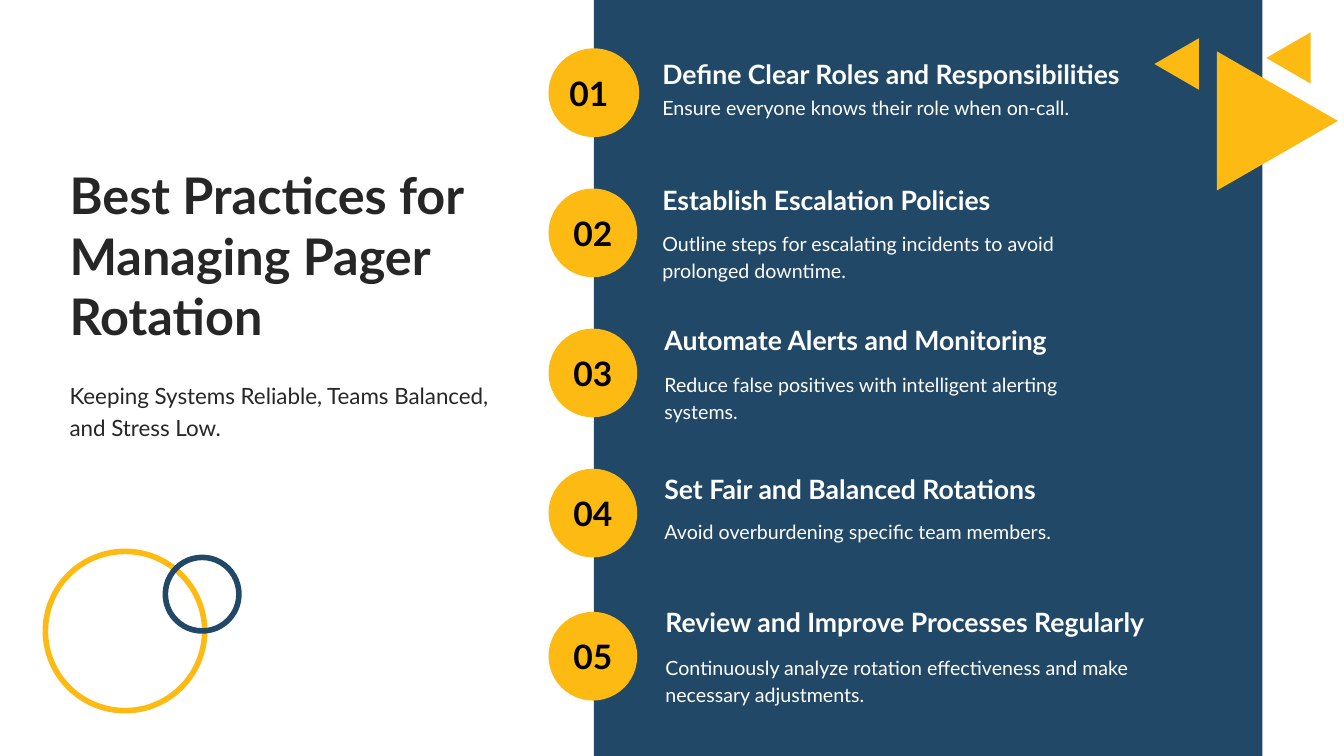
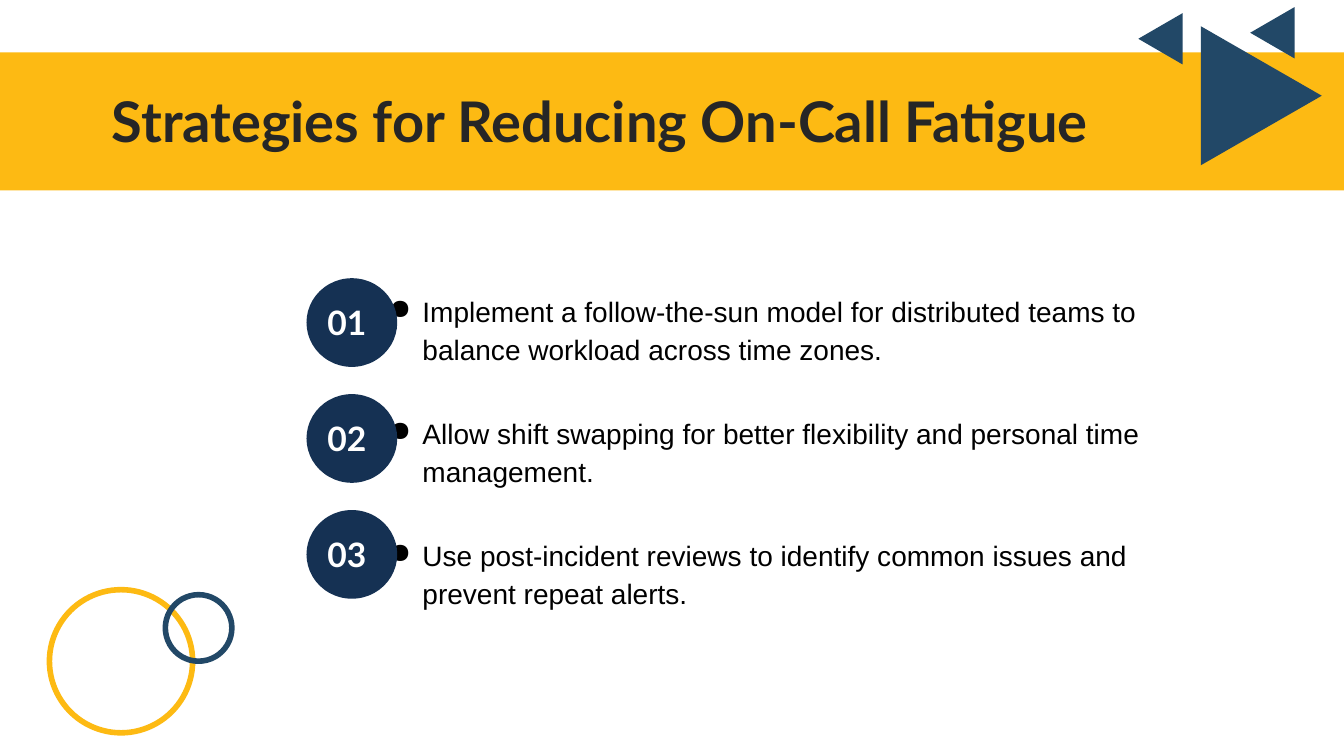
from dataclasses import dataclass

from lxml import etree
from pptx import Presentation
from pptx.dml.color import RGBColor
from pptx.enum.shapes import MSO_SHAPE
from pptx.enum.text import MSO_ANCHOR, PP_ALIGN
from pptx.oxml.ns import qn
from pptx.util import Inches, Pt


@dataclass(frozen=True)
class Theme:
    # Colours
    yellow: str = "FDBA13"
    blue: str = "224867"
    navy: str = "153153"
    ink: str = "262626"
    black: str = "000000"
    white: str = "FFFFFF"
    # Fonts
    font: str = "Lato"
    list_font: str = "Arial"
    # Type sizes in points
    cover_title: int = 36
    band_title: int = 40
    number: int = 24
    bullet: int = 20
    heading: int = 19
    subtitle: int = 16
    body: int = 14
    # Ring outline in points
    ring: int = 4


T = Theme()


@dataclass(frozen=True)
class Step:
    heading: str
    body: str
    top: float           # badge top
    left: float          # text left
    heading_mid: float   # vertical centre of the heading
    body_top: float
    width: float = 4.5
    badge: float = 0.88
    spacing: float = 1.15


STEPS = [
    Step("Define Clear Roles and Responsibilities",
         "Ensure everyone knows their role when on-call.",
         0.48, 6.57, 0.73, 0.95, width=4.57, badge=0.9, spacing=1),
    Step("Establish Escalation Policies",
         "Outline steps for escalating incidents to avoid prolonged downtime.",
         1.87, 6.57, 1.98, 2.27),
    Step("Automate Alerts and Monitoring",
         "Reduce false positives with intelligent alerting systems.",
         3.26, 6.59, 3.37, 3.66),
    Step("Set Fair and Balanced Rotations",
         "Avoid overburdening specific team members.",
         4.65, 6.59, 4.85, 5.12),
    Step("Review and Improve Processes Regularly",
         "Continuously analyze rotation effectiveness and make necessary adjustments.",
         6.07, 6.6, 6.17, 6.47, width=5.23),
]

STRATEGIES = [
    "Implement a follow-the-sun model for distributed teams to balance workload "
    "across time zones.",
    "Allow shift swapping for better flexibility and personal time management.",
    "Use post-incident reviews to identify common issues and prevent repeat alerts.",
]


def rgb(value):
    return RGBColor.from_string(value)


def paint(sp, fill=None, line=None):
    """Set fill and outline; None means neither is drawn."""
    sp.shadow.inherit = False
    if fill:
        sp.fill.solid()
        sp.fill.fore_color.rgb = rgb(fill)
    else:
        sp.fill.background()
    if line:
        sp.line.color.rgb = rgb(line)
        sp.line.width = Pt(T.ring)
    else:
        sp.line.fill.background()
    return sp


def add_block(s, kind, x, y, w, h, fill=None, line=None):
    sp = s.shapes.add_shape(kind, Inches(x), Inches(y), Inches(w), Inches(h))
    return paint(sp, fill, line)


def set_frame(tf, anchor):
    tf.word_wrap = True
    tf.vertical_anchor = anchor
    tf.margin_left = tf.margin_right = tf.margin_top = tf.margin_bottom = 0


def add_run(p, text, size, color, bold=False, font=T.font):
    r = p.add_run()
    r.text = text
    r.font.name = font
    r.font.size = Pt(size)
    r.font.bold = bold
    r.font.color.rgb = rgb(color)


def add_text(s, text, x, y, w, h, size, color, bold=False, font=T.font,
             anchor=MSO_ANCHOR.TOP, spacing=1):
    tb = s.shapes.add_textbox(Inches(x), Inches(y), Inches(w), Inches(h))
    tf = tb.text_frame
    set_frame(tf, anchor)
    p = tf.paragraphs[0]
    p.line_spacing = float(spacing)
    add_run(p, text, size, color, bold, font)
    return p


def add_title(s, text, x, y, w, h, size, spacing=1):
    add_text(s, text, x, y, w, h, size, T.ink, bold=True,
             anchor=MSO_ANCHOR.BOTTOM, spacing=spacing)


def set_bullet(p, char="●"):
    pPr = p._p.get_or_add_pPr()
    pPr.set("marL", str(Inches(0.5)))
    pPr.set("indent", str(-Inches(0.33)))
    clr = etree.SubElement(pPr, qn("a:buClr"))
    etree.SubElement(clr, qn("a:srgbClr"), val=T.black)
    etree.SubElement(pPr, qn("a:buChar"), char=char)


def add_badge(s, number, x, y, w, fill, color):
    """Numbered disc; in the wider ones the number sits a little to the left."""
    sp = add_block(s, MSO_SHAPE.OVAL, x, y, w, 0.88, fill)
    tf = sp.text_frame
    set_frame(tf, MSO_ANCHOR.MIDDLE)
    if w > 0.88:
        tf.margin_right = Inches(0.1)
    p = tf.paragraphs[0]
    p.alignment = PP_ALIGN.CENTER
    add_run(p, f"{number:02d}", T.number, color, bold=True)


def add_triangle(s, base_x, tip_x, top, h, fill):
    fb = s.shapes.build_freeform(Inches(base_x), Inches(top))
    fb.add_line_segments([(Inches(tip_x), Inches(top + h / 2)),
                          (Inches(base_x), Inches(top + h))])
    paint(fb.convert_to_shape(), fill)


def add_triangles(s, x, y, fill):
    """One large triangle pointing right, two small ones pointing left."""
    add_triangle(s, x, x + 1.2, y, 1.38, fill)
    for dx, dy in ((0.93, -0.19), (-0.18, -0.13)):
        add_triangle(s, x + dx, x + dx - 0.44, y + dy, 0.51, fill)


def add_rings(s, *rings):
    """Large yellow ring, then a small blue one, each as (x, y, size)."""
    for (x, y, d), color in zip(rings, (T.yellow, T.blue)):
        add_block(s, MSO_SHAPE.OVAL, x, y, d, d, line=color)


def add_step(s, number, step):
    add_badge(s, number, 5.44, step.top, step.badge, T.yellow, T.black)
    add_text(s, step.body, step.left, step.body_top, step.width, 0.58,
             T.body, T.white, spacing=step.spacing)
    add_text(s, step.heading, step.left, step.heading_mid - 0.2, step.width, 0.4,
             T.heading, T.white, bold=True, anchor=MSO_ANCHOR.MIDDLE)


def build_practices(s):
    # Title side
    add_title(s, "Best Practices for Managing Pager Rotation",
              0.69, 1.61, 4.27, 1.82, T.cover_title)
    add_text(s, "Keeping Systems Reliable, Teams Balanced, and Stress Low.",
             0.69, 3.74, 4.27, 0.64, T.subtitle, T.ink, spacing=1.2)
    # Panel with numbered steps
    add_block(s, MSO_SHAPE.RECTANGLE, 5.89, 0, 6.63, 7.5, T.blue)
    for number, step in enumerate(STEPS, 1):
        add_step(s, number, step)
    # Ornaments
    add_rings(s, (0.45, 5.47, 1.58), (1.64, 5.53, 0.73))
    add_triangles(s, 12.07, 0.51, T.yellow)


def build_strategies(s):
    # Title band
    add_block(s, MSO_SHAPE.RECTANGLE, 0, 0.52, 13.33, 1.37, T.yellow)
    add_title(s, "Strategies for Reducing On-Call Fatigue",
              1.11, 0.86, 10.18, 0.67, T.band_title, spacing=1.15)
    # Numbered strategies: the discs overlap the bullets
    for i, text in enumerate(STRATEGIES):
        p = add_text(s, text, 3.69, 2.87 + 1.21 * i, 7.67, 0.8, T.bullet,
                     T.black, font=T.list_font, spacing=1.15)
        set_bullet(p)
        add_badge(s, i + 1, 3.04, 2.76 + 1.15 * i, 0.9, T.navy, T.white)
    # Ornaments
    add_rings(s, (0.49, 5.85, 1.42), (1.64, 5.9, 0.66))
    add_triangles(s, 11.91, 0.26, T.blue)


def main():
    prs = Presentation()
    prs.slide_width = Inches(13.33)
    prs.slide_height = Inches(7.5)
    for build in (build_practices, build_strategies):
        build(prs.slides.add_slide(prs.slide_layouts[6]))
    prs.save("out.pptx")


if __name__ == "__main__":
    main()
